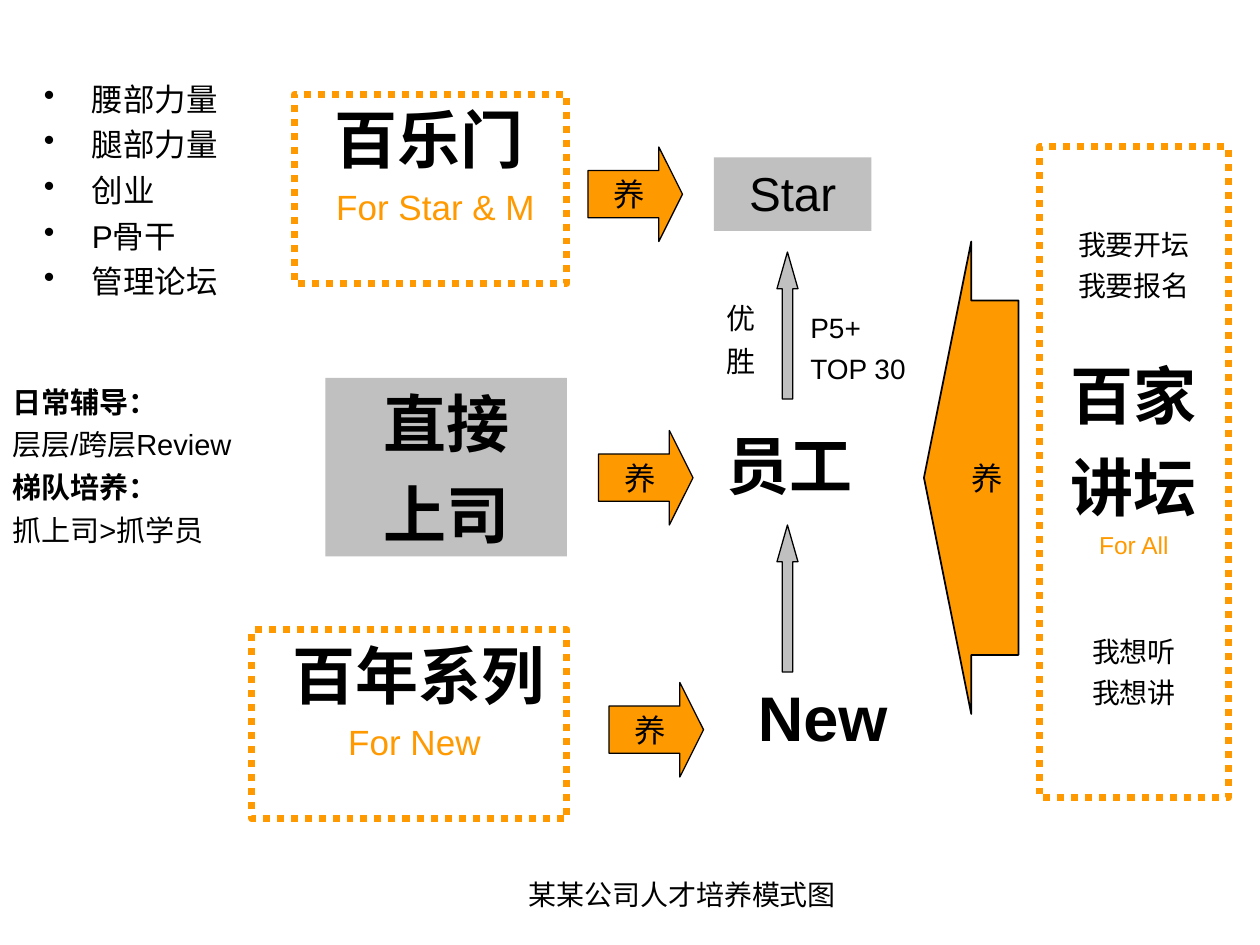
from dataclasses import dataclass

from lxml.etree import SubElement
from pptx import Presentation
from pptx.dml.color import RGBColor
from pptx.enum.dml import MSO_LINE
from pptx.enum.shapes import MSO_SHAPE as Shape
from pptx.enum.text import MSO_ANCHOR as Anchor, PP_ALIGN as Align
from pptx.oxml.ns import qn
from pptx.util import Inches, Pt


@dataclass(frozen=True)
class Theme:
    font: str = "Arial"
    arrow_font: str = "Calibri"
    black: str = "000000"
    orange: str = "FF9900"
    grey: str = "C0C0C0"
    heading: float = 36
    star: float = 27.2
    subtitle: float = 20
    body: float = 18
    note: float = 16.6
    small: float = 16
    tiny: float = 14


THEME = Theme()
COLUMNS, ROWS = 120, 90  # grid of the 10 by 7.5 inch slide

# Text: (wording, format); boxes: (left, top, width, height) in grid cells
HEADING = dict(size=THEME.heading, bold=True, before=9)
CENTRED = dict(HEADING, align=Align.CENTER)
SUBTITLE = dict(size=THEME.subtitle, color=THEME.orange, before=5,
                align=Align.CENTER, indent=0.08)
NOTE = dict(size=THEME.note, before=4.5)
SMALL = dict(size=THEME.small, before=4)
SMALL_CENTRED = dict(SMALL, align=Align.CENTER)
BULLET = dict(size=THEME.body, before=4.5, bullet=True, indent=0.38)

PROGRAMMES = [
    ((28, 9, 26, 18), "百乐门", "For Star & M"),
    ((24, 60, 30, 18), "百年系列", "For New"),
]
GREY_BOXES = [
    ((68, 15, 15, 7), [("Star", dict(size=THEME.star, align=Align.CENTER))]),
    ((31, 36, 23, 17), [("直接", CENTRED), ("上司", CENTRED)]),
]
FORUM = ((99, 14, 18, 62), [
    ("我要开坛", SMALL_CENTRED),
    ("我要报名", SMALL_CENTRED),
    ("百家", dict(CENTRED, before=31.5)),
    ("讲坛", CENTRED),
    ("For All", dict(size=THEME.tiny, color=THEME.orange, before=3.5,
                     align=Align.CENTER)),
    ("我想听", dict(SMALL_CENTRED, before=43)),
    ("我想讲", SMALL_CENTRED),
])
LABELS = [
    ((3, 7, 22, 22), [(item, BULLET) for item in
                      ("腰部力量", "腿部力量", "创业", "P骨干", "管理论坛")]),
    ((0, 36, 27, 18), [
        ("日常辅导：", dict(NOTE, bold=True)),
        ("层层/跨层Review", NOTE),
        ("梯队培养：", dict(NOTE, bold=True)),
        ("抓上司>抓学员", NOTE),
    ]),
    ((68, 40, 16, 9), [("员工", HEADING)]),
    ((71, 64, 17, 11), [("New", HEADING)]),
    ((68, 28, 5, 9), [("优", NOTE), ("胜", NOTE)]),
    ((76, 29, 14, 9), [("P5+", SMALL), ("TOP 30", SMALL)]),
    ((43, 83, 44, 5), [("某某公司人才培养模式图", SMALL_CENTRED)]),
]
NURTURE = "养"
NURTURE_ARROWS = [(56, 14), (57, 41), (58, 65)]
FORUM_ARROW = (88, 23, 9, 45)
PROMOTION_ARROWS = [(74, 50), (74, 24)]

deck = Presentation()
deck.slide_width, deck.slide_height = Inches(10), Inches(7.5)
slide = deck.slides.add_slide(deck.slide_layouts[6])


def place(left, top, width, height):
    across, down = deck.slide_width / COLUMNS, deck.slide_height / ROWS
    return [round(cells * step) for cells, step in
            zip((left, top, width, height), (across, down, across, down))]


def add_line(para, text, *, size, before=0, bold=False, color=THEME.black,
             align=Align.LEFT, indent=0, bullet=False, font=THEME.font):
    para.alignment = align
    para.space_before = Pt(before)
    if indent:
        props = para._p.get_or_add_pPr()
        props.set("marL", str(Inches(indent)))
        props.set("indent", str(-Inches(indent) if bullet else 0))
        if bullet:
            SubElement(props, qn("a:buChar")).set("char", "•")
    span = para.add_run()
    span.text = text
    span.font.name, span.font.size, span.font.bold = font, Pt(size), bold
    span.font.color.rgb = RGBColor.from_string(color)


def write(box, lines, *, anchor=Anchor.TOP, wrap=True, inset=0.05):
    """Fill a box with lines; the first one gets no space before."""
    frame = box.text_frame
    frame.word_wrap, frame.vertical_anchor = wrap, anchor
    frame.margin_top = Inches(inset)
    for number, (text, style) in enumerate(lines):
        para = frame.add_paragraph() if number else frame.paragraphs[0]
        add_line(para, text, **(style if number else dict(style, before=0)))


def add_box(kind, area, *, fill=None, line=None, weight=0.75, dash=None):
    box = slide.shapes.add_shape(kind, *place(*area))
    box.shadow.inherit = False
    if fill:
        box.fill.solid()
        box.fill.fore_color.rgb = RGBColor.from_string(fill)
    else:
        box.fill.background()
    if line:
        box.line.color.rgb = RGBColor.from_string(line)
        box.line.width = Pt(weight)
        if dash:
            box.line.dash_style = dash
    else:
        box.line.fill.background()
    return box


def add_dotted_box(area):
    return add_box(Shape.RECTANGLE, area, line=THEME.orange, weight=4,
                   dash=MSO_LINE.ROUND_DOT)


def add_arrow(kind, area, shaft, head, fill, weight=0.75):
    arrow = add_box(kind, area, fill=fill, line=THEME.black, weight=weight)
    arrow.adjustments[0], arrow.adjustments[1] = shaft, head
    return arrow


for area, name, audience in PROGRAMMES:
    write(add_dotted_box(area),
          [(name, dict(HEADING, indent=0.22)), (audience, SUBTITLE)])

for area, lines in GREY_BOXES:
    write(add_box(Shape.RECTANGLE, area, fill=THEME.grey), lines)

for area, lines in LABELS:
    write(slide.shapes.add_textbox(*place(*area)), lines)

for left, top in NURTURE_ARROWS:
    arrow = add_arrow(Shape.RIGHT_ARROW, (left, top, 9, 9), 0.5, 0.25, THEME.orange)
    write(arrow, [(NURTURE, dict(size=THEME.body, align=Align.CENTER))],
          anchor=Anchor.MIDDLE, wrap=False)

for left, top in PROMOTION_ARROWS:
    add_arrow(Shape.UP_ARROW, (left, top, 2, 14), 0.5, 1.75, THEME.grey)

forum_area, forum_lines = FORUM
write(add_dotted_box(forum_area), forum_lines, inset=0.64)

forum_arrow = add_arrow(Shape.RIGHT_ARROW, FORUM_ARROW, 0.75, 0.5, THEME.orange, weight=1)
forum_arrow._element.spPr.get_or_add_xfrm().set("flipH", "1")
write(forum_arrow, [(NURTURE, dict(size=THEME.body, font=THEME.arrow_font))],
      anchor=Anchor.MIDDLE, wrap=False)

deck.save("out.pptx")
